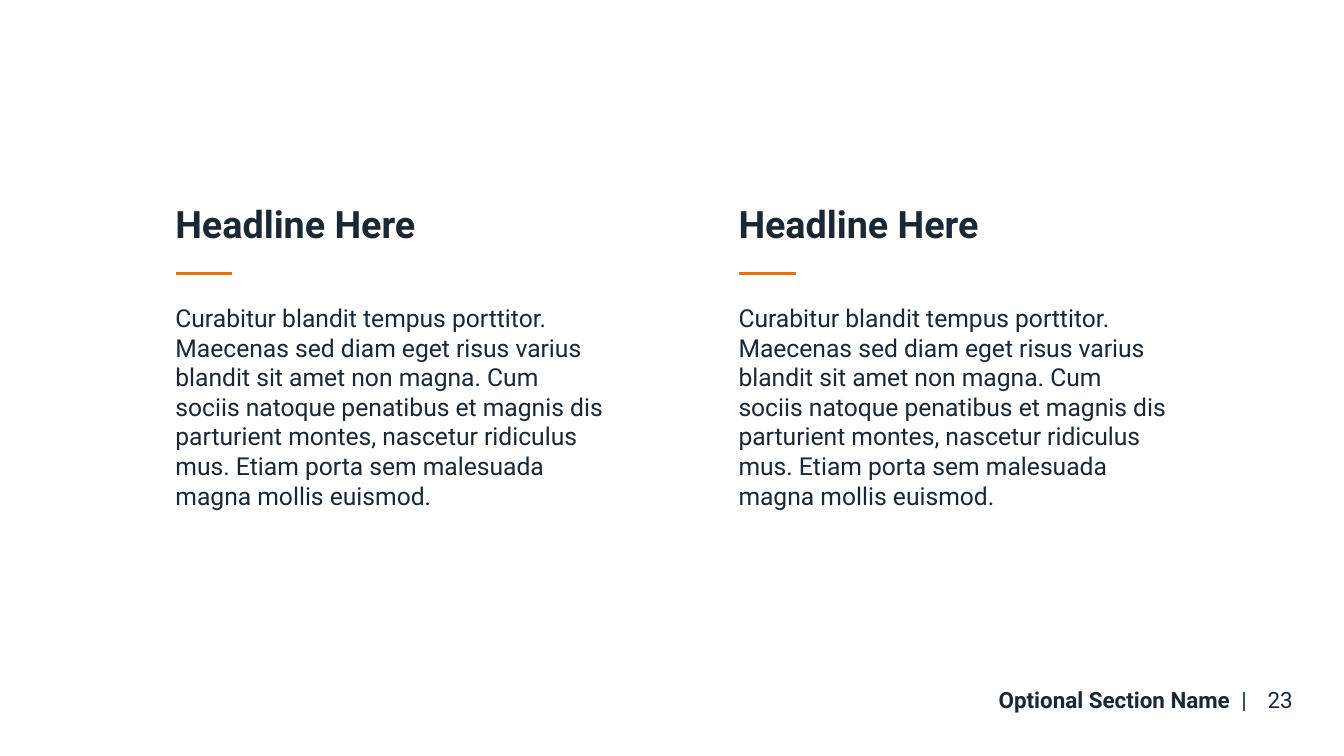
from dataclasses import dataclass

from lxml import etree
from pptx import Presentation
from pptx import util as u
from pptx.dml.color import RGBColor
from pptx.enum import shapes, text
from pptx.oxml.ns import qn

PX = 4572  # EMU per px, 200 px to the inch
INK = RGBColor(0x1A, 0x28, 0x35)
ORANGE = RGBColor(0xE5, 0x72, 0x00)
WHITE = RGBColor(0xFF, 0xFF, 0xFF)
FONT = "Roboto"
COMPARISON_LAYOUT = 4
INSET = 20
COLUMN_WIDTH = 680

HEADLINE = "Headline Here"
BODY = (
    "Curabitur blandit tempus porttitor. Maecenas sed diam eget risus varius "
    "blandit sit amet non magna. Cum sociis natoque penatibus et magnis dis "
    "parturient montes, nascetur ridiculus mus. Etiam porta sem malesuada "
    "magna mollis euismod."
)


@dataclass(frozen=True)
class Box:
    left: int
    top: int
    width: int
    height: int

    def emu(self) -> tuple[int, ...]:
        return tuple(n * PX for n in (self.left, self.top, self.width, self.height))


@dataclass(frozen=True)
class Run:
    words: str
    size: float
    bold: bool = False


@dataclass(frozen=True)
class Column:
    left: int
    headline_idx: int
    body_idx: int


COLUMNS = (Column(241, 0, 2), Column(1079, 3, 4))


def write(holder, box: Box, runs: list[Run], align=text.PP_ALIGN.LEFT) -> None:
    """Place a text holder and fill it with one unbulleted paragraph."""
    holder.left, holder.top, holder.width, holder.height = box.emu()
    frame = holder.text_frame
    frame_format = {
        "word_wrap": True,
        "auto_size": text.MSO_AUTO_SIZE.NONE,
        "vertical_anchor": text.MSO_ANCHOR.MIDDLE,
        **{f"margin_{side}": INSET * PX for side in ("left", "right", "top", "bottom")},
    }
    for name, value in frame_format.items():
        setattr(frame, name, value)

    paragraph = frame.paragraphs[0]
    properties = paragraph._p.get_or_add_pPr()
    properties.set("marL", "0")
    properties.set("indent", "0")
    etree.SubElement(properties, qn("a:buNone"))
    paragraph_format = {"alignment": align, "line_spacing": 1.0, "space_before": u.Pt(0)}
    for name, value in paragraph_format.items():
        setattr(paragraph, name, value)

    for part in runs:
        run = paragraph.add_run()
        run.text = part.words
        run_format = {"name": FONT, "size": u.Pt(part.size), "bold": part.bold}
        for name, value in run_format.items():
            setattr(run.font, name, value)
        run.font.color.rgb = INK


def draw_rule(slide, box: Box) -> None:
    rule = slide.shapes.add_shape(shapes.MSO_SHAPE.RECTANGLE, *box.emu())
    rule.shadow.inherit = False
    rule.fill.solid()
    rule.fill.fore_color.rgb = ORANGE
    rule.line.color.rgb = ORANGE
    rule.line.width = u.Pt(0.75)


def draw_column(slide, column: Column) -> None:
    holders = {p.placeholder_format.idx: p for p in slide.placeholders}
    write(holders[column.headline_idx], Box(column.left, 294, COLUMN_WIDTH, 76),
          [Run(HEADLINE, 20.2, True)])
    draw_rule(slide, Box(column.left + INSET + 2, 406, 82, 3))
    write(holders[column.body_idx], Box(column.left, 446, COLUMN_WIDTH, 318),
          [Run(BODY, 13.2)])


def draw_footer(slide) -> None:
    page, section = Box(1861, 998, 88, 86), Box(1413, 998, 462, 86)
    write(slide.shapes.add_textbox(*page.emu()), page,
          [Run("23", 12)], text.PP_ALIGN.CENTER)
    write(slide.shapes.add_textbox(*section.emu()), section,
          [Run("Optional Section Name  ", 12, True), Run("|", 12)], text.PP_ALIGN.RIGHT)


def main() -> None:
    deck = Presentation()
    deck.slide_width, deck.slide_height = 2000 * PX, 1125 * PX
    slide = deck.slides.add_slide(deck.slide_layouts[COMPARISON_LAYOUT])
    slide.background.fill.solid()
    slide.background.fill.fore_color.rgb = WHITE

    for column in COLUMNS:
        draw_column(slide, column)
    draw_footer(slide)

    for holder in list(slide.placeholders):
        if not holder.text_frame.text:
            holder.element.getparent().remove(holder.element)
    deck.save("out.pptx")


if __name__ == "__main__":
    main()
